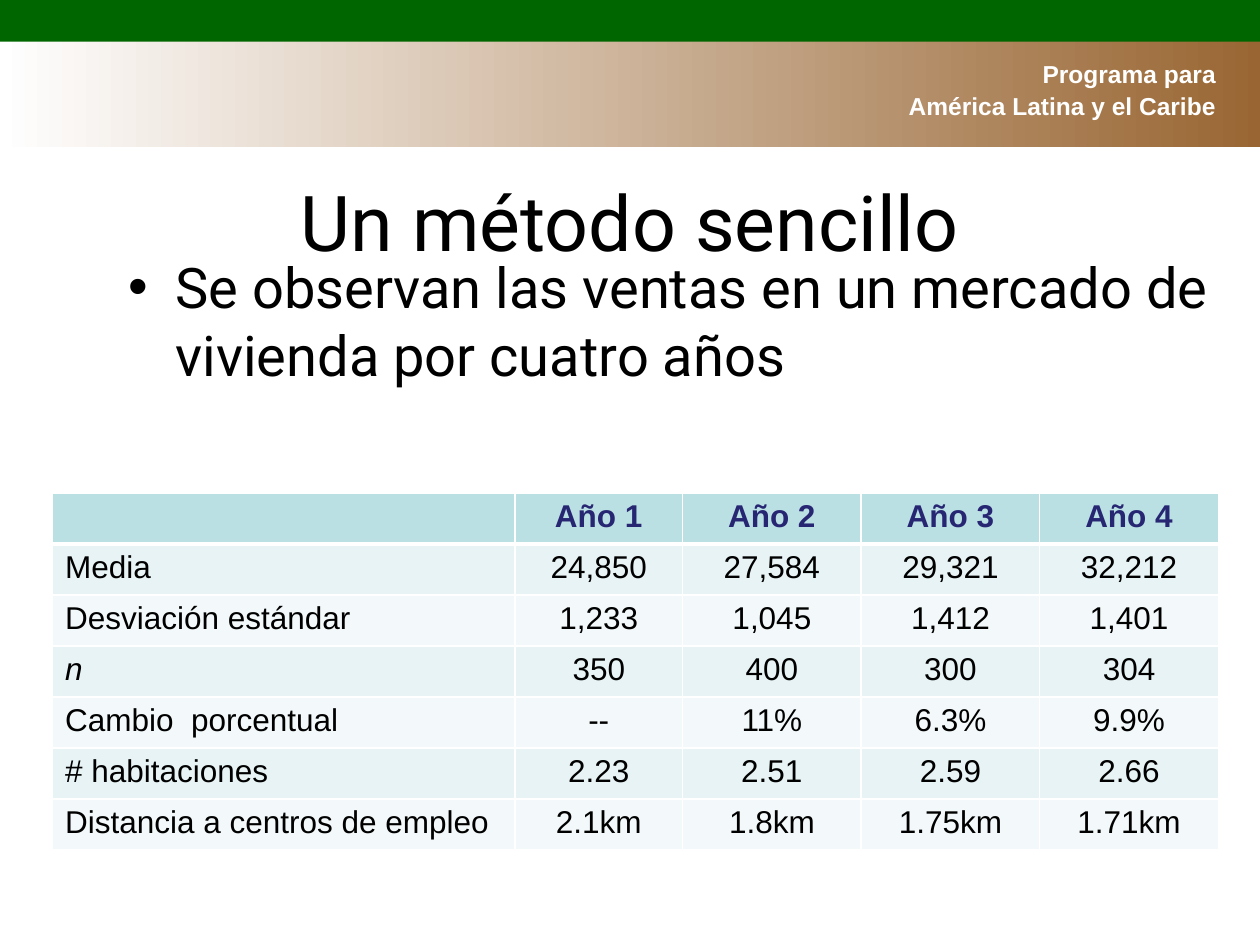
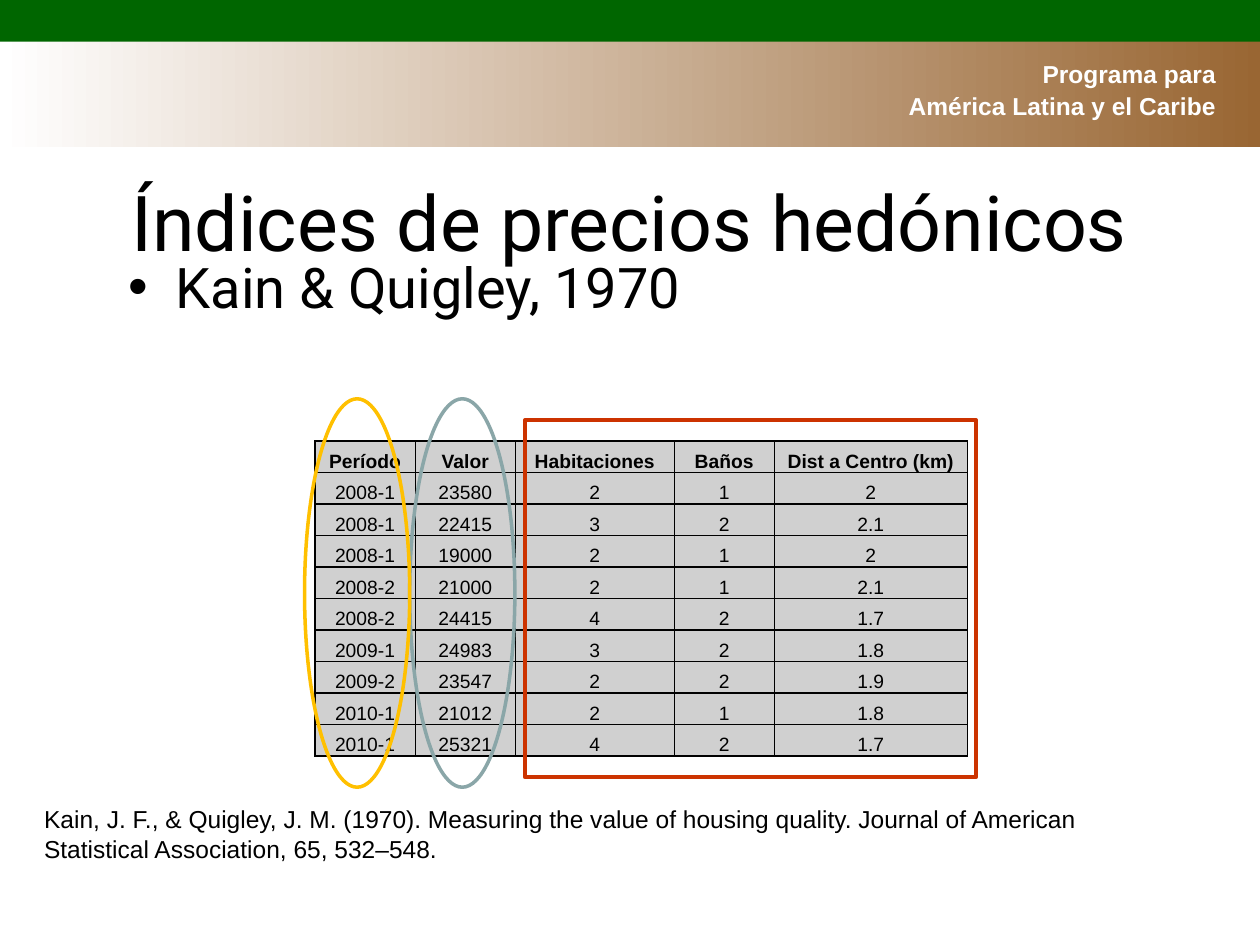
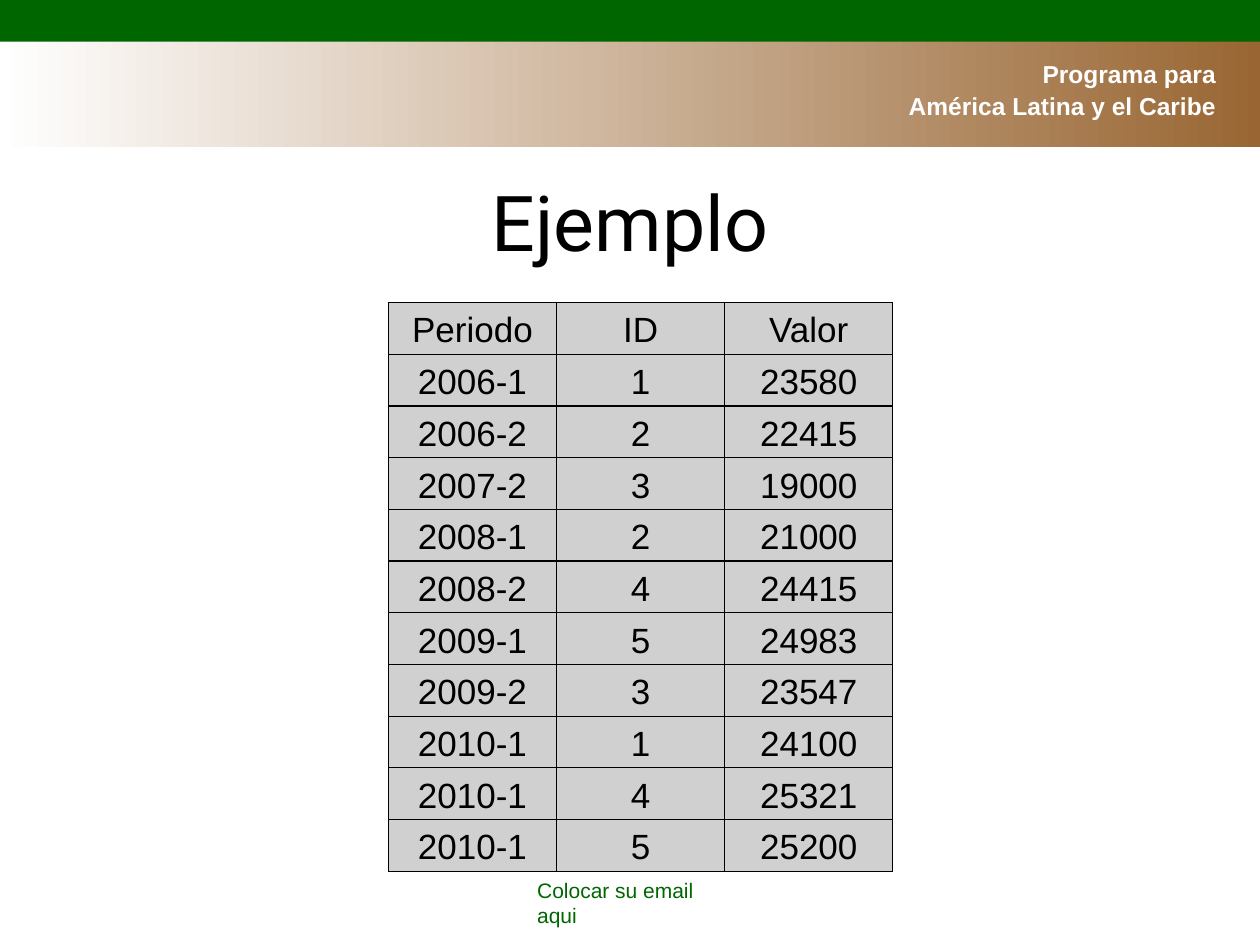
from pptx import Presentation
from pptx.dml.color import RGBColor
from pptx.enum.shapes import MSO_SHAPE
from pptx.enum.text import MSO_ANCHOR, MSO_AUTO_SIZE, PP_ALIGN
from pptx.oxml.ns import qn
from pptx.util import Cm, Pt
from lxml.etree import SubElement

BLACK, WHITE, GREEN, BROWN = "000000", "FFFFFF", "006600", "996633"
NAVY, TEAL, PALE_TEAL, PALEST_TEAL = "262673", "BBE0E3", "E7F3F4", "F3F9FA"
GREY, SLATE, RED, AMBER = "D0D0D0", "8AA6A8", "CC3300", "FFC000"
TITLE_AND_LIST, TITLE_ONLY = 1, 5


def color(value):
    return RGBColor.from_string(value)


class Deck:
    heading_font = "Roboto"
    text_font = "Arial"

    def __init__(self):
        self.deck = Presentation()
        self.deck.slide_width, self.deck.slide_height = Cm(25.4), Cm(19.05)
        self.slide = None

    def add_slide(self, layout, title):
        self.slide = self.deck.slides.add_slide(self.deck.slide_layouts[layout])
        gradient = self.band(0.81, 2.16).fill
        gradient.gradient()
        gradient.gradient_angle = 0
        for stop, position, value in zip(gradient.gradient_stops, (0, 1), (WHITE, BROWN)):
            stop.position = position
            stop.color.rgb = color(value)
        green_band = self.band(0, 0.84)
        green_band.fill.solid()
        green_band.fill.fore_color.rgb = color(GREEN)
        header = self.text(["Programa para ", "América Latina y el Caribe "],
                           17.51, 1.12, 7.39, 1.45, 14, WHITE, bold=True)
        header.vertical_anchor = MSO_ANCHOR.MIDDLE
        for para in header.paragraphs:
            para.alignment = PP_ALIGN.RIGHT
            para.line_spacing = 0.9
            para.space_before = Pt(2.8)
        self.fill_placeholder(self.slide.shapes.title, title, 1.27, 3.39, 22.86, 3.18, 44)

    def band(self, top, height):
        return self.shape(MSO_SHAPE.RECTANGLE, 0, top, 25.4, height)

    def shape(self, kind, left, top, width, height):
        shape = self.slide.shapes.add_shape(kind, Cm(left), Cm(top), Cm(width), Cm(height))
        shape.shadow.inherit = False
        shape.line.fill.background()
        return shape

    def outline(self, kind, left, top, width, height, line_color):
        shape = self.shape(kind, left, top, width, height)
        shape.fill.background()
        shape.line.color.rgb = color(line_color)
        shape.line.width = Pt(2)

    def format_runs(self, para, font, size, font_color, bold=False, italic=False):
        for run in para.runs:
            run.font.name = font
            run.font.size = Pt(size)
            run.font.bold = bold
            run.font.italic = italic
            run.font.color.rgb = color(font_color)

    def fill_placeholder(self, placeholder, text, left, top, width, height, size):
        placeholder.left, placeholder.top = Cm(left), Cm(top)
        placeholder.width, placeholder.height = Cm(width), Cm(height)
        frame = placeholder.text_frame
        frame.text = text
        frame.auto_size = MSO_AUTO_SIZE.NONE
        frame.vertical_anchor = MSO_ANCHOR.TOP
        self.format_runs(frame.paragraphs[0], self.heading_font, size, BLACK)

    def bullet(self, text):
        self.fill_placeholder(self.slide.placeholders[1], text, 2.33, 4.97, 22.86, 12.57, 32)

    def text(self, lines, left, top, width, height, size, font_color, bold=False):
        box = self.slide.shapes.add_textbox(Cm(left), Cm(top), Cm(width), Cm(height))
        frame = box.text_frame
        frame.word_wrap = True
        frame.text = "\n".join(lines)
        for para in frame.paragraphs:
            self.format_runs(para, self.text_font, size, font_color, bold)
        return frame

    def table(self, rows, left, top, widths, height):
        frame = self.slide.shapes.add_table(len(rows), len(widths), Cm(left), Cm(top),
                                            Cm(sum(widths)), Cm(height))
        table = frame.table
        table.first_row = table.horz_banding = False
        for column, width in zip(table.columns, widths):
            column.width = Cm(width)
        for row, values in zip(table.rows, rows):
            row.height = Cm(height / len(rows))
            for cell, value in zip(row.cells, values):
                cell.text = value
        return table

    def format_cell(self, cell, size, fill, border, border_width, font_color=BLACK,
                    bold=False, italic=False, align=PP_ALIGN.CENTER, bottom_width=None):
        properties = cell._tc.get_or_add_tcPr()
        for side in ("L", "R", "T", "B"):
            width = bottom_width if side == "B" and bottom_width else border_width
            line = SubElement(properties, qn("a:ln" + side), w=str(Pt(width)))
            SubElement(SubElement(line, qn("a:solidFill")), qn("a:srgbClr"), val=border)
        cell.fill.solid()
        cell.fill.fore_color.rgb = color(fill)
        para = cell.text_frame.paragraphs[0]
        para.alignment = align
        self.format_runs(para, self.text_font, size, font_color, bold, italic)

    def banded_table(self, rows, left, top, widths, height):
        table = self.table(rows, left, top, widths, height)
        for row_index, row in enumerate(table.rows):
            heading = row_index == 0
            band_fill = PALE_TEAL if row_index % 2 else PALEST_TEAL
            for column_index, cell in enumerate(row.cells):
                self.format_cell(
                    cell, 18, TEAL if heading else band_fill, WHITE, 1,
                    font_color=NAVY if heading else BLACK, bold=heading,
                    italic=cell.text == "n", bottom_width=3 if heading else None,
                    align=PP_ALIGN.CENTER if column_index else PP_ALIGN.LEFT)

    def grid_table(self, rows, left, top, widths, height, size, margins, bold_heading=False):
        table = self.table(rows, left, top, widths, height)
        side, above, below = margins
        for row_index, row in enumerate(table.rows):
            for cell in row.cells:
                cell.vertical_anchor = MSO_ANCHOR.BOTTOM
                cell.margin_left = cell.margin_right = Cm(side)
                cell.margin_top, cell.margin_bottom = Cm(above), Cm(below)
                self.format_cell(cell, size, GREY, BLACK, 0.75,
                                 bold=bold_heading and row_index == 0)


talk = Deck()

talk.add_slide(TITLE_AND_LIST, "Un método sencillo")
talk.bullet("Se observan las ventas en un mercado de vivienda por cuatro años")
yearly_sales = [
    ("", "Año 1", "Año 2", "Año 3", "Año 4"),
    ("Media", "24,850", "27,584", "29,321", "32,212"),
    ("Desviación estándar", "1,233", "1,045", "1,412", "1,401"),
    ("n", "350", "400", "300", "304"),
    ("Cambio  porcentual", "--", "11%", "6.3%", "9.9%"),
    ("# habitaciones", "2.23", "2.51", "2.59", "2.66"),
    ("Distancia a centros de empleo", "2.1km", "1.8km", "1.75km", "1.71km"),
]
talk.banded_table(yearly_sales, 1.06, 9.94, [9.32, 3.38, 3.6, 3.6, 3.6], 7.2)

talk.add_slide(TITLE_AND_LIST, "Índices de precios hedónicos")
talk.bullet("Kain & Quigley, 1970")
talk.text(["Kain, J. F., & Quigley, J. M. (1970). Measuring the value of housing quality. "
           "Journal of American",
           "Statistical Association, 65, 532–548."], 0.64, 16.09, 23.06, 1.45, 14, BLACK)
homes = [
    ("Período", "Valor", "Habitaciones", "Baños", "Dist a Centro (km)"),
    ("2008-1", "23580", "2", "1", "2"),
    ("2008-1", "22415", "3", "2", "2.1"),
    ("2008-1", "19000", "2", "1", "2"),
    ("2008-2", "21000", "2", "1", "2.1"),
    ("2008-2", "24415", "4", "2", "1.7"),
    ("2009-1", "24983", "3", "2", "1.8"),
    ("2009-2", "23547", "2", "2", "1.9"),
    ("2010-1", "21012", "2", "1", "1.8"),
    ("2010-1", "25321", "4", "2", "1.7"),
]
talk.grid_table(homes, 6.35, 8.89, [2.02, 2.02, 3.2, 2.02, 3.89], 6.35, 11,
                (0.03, 0.03, 0), bold_heading=True)
talk.outline(MSO_SHAPE.OVAL, 8.26, 8.04, 2.12, 7.83, SLATE)
talk.outline(MSO_SHAPE.RECTANGLE, 10.58, 8.47, 9.1, 7.2, RED)
talk.outline(MSO_SHAPE.OVAL, 6.14, 8.04, 2.12, 7.83, AMBER)

talk.add_slide(TITLE_ONLY, "Ejemplo")
talk.text(["Colocar su email aqui"], 10.58, 17.57, 4.5, 1.2, 12, GREEN)
resales = [
    ("Periodo", "ID", "Valor"),
    ("2006-1", "1", "23580"),
    ("2006-2", "2", "22415"),
    ("2007-2", "3", "19000"),
    ("2008-1", "2", "21000"),
    ("2008-2", "4", "24415"),
    ("2009-1", "5", "24983"),
    ("2009-2", "3", "23547"),
    ("2010-1", "1", "24100"),
    ("2010-1", "4", "25321"),
    ("2010-1", "5", "25200"),
]
talk.grid_table(resales, 7.83, 6.1, [3.39] * 3, 11.47, 20, (0.25, 0.08, 0.08))

talk.deck.save("out.pptx")
